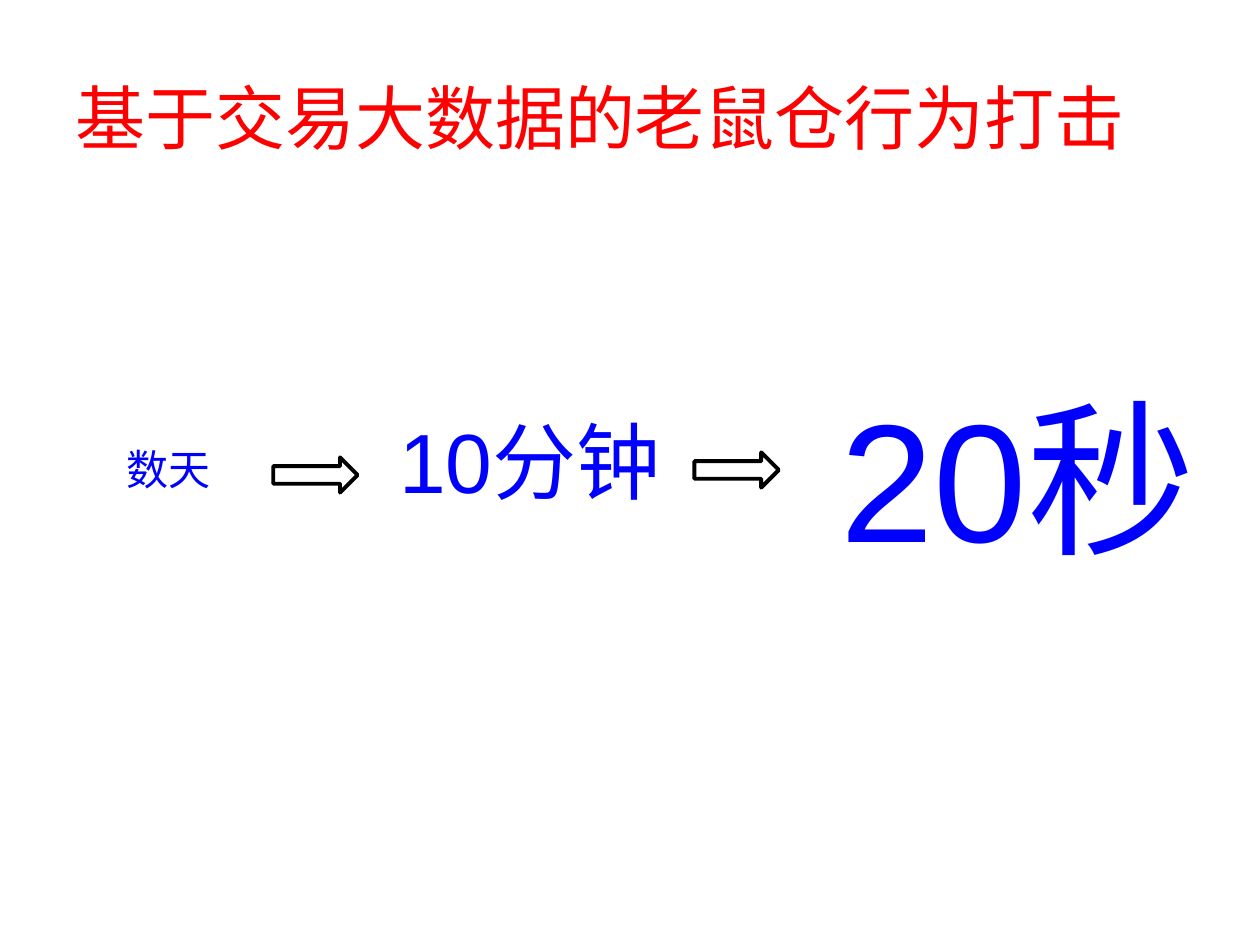
from pptx import Presentation
from pptx.dml.color import RGBColor
from pptx.enum.shapes import MSO_SHAPE
from pptx.enum.text import MSO_ANCHOR, MSO_AUTO_SIZE, PP_ALIGN
from pptx.util import Cm, Pt

ARROW = MSO_SHAPE.RIGHT_ARROW
MIDDLE = MSO_ANCHOR.MIDDLE
GROW = MSO_AUTO_SIZE.SHAPE_TO_FIT_TEXT
NO_FIT = MSO_AUTO_SIZE.NONE
LEFT = PP_ALIGN.LEFT

# Content: lengths in cm, type sizes in points
TITLE = "基于交易大数据的老鼠仓行为打击"
TITLE_BOX = (1.27, 0.76, 22.86, 3.18)
STAGES = [  # text, type size, box
    ("数天", 24, (2.31, 8.81, 2.24, 1.27)),
    ("10分钟", 48, (7.8, 8.13, 5.84, 2.31)),
    ("20秒", 96, (16.69, 7.42, 7.75, 4.37)),
]
ARROW_POSITIONS = [(5.51, 9.22), (14.0, 9.12)]
ARROW_SIZE = (1.7, 0.71)

THEME = {
    "title_font": "Noto Sans CJK JP",
    "title_size": 40,
    "title_color": RGBColor(0xFF, 0x00, 0x00),
    "stage_font": "Arial",
    "stage_color": RGBColor(0x00, 0x00, 0xFF),
    "line_color": RGBColor(0x00, 0x00, 0x00),
    "line_width": 2.25,
}


def cm(lengths):
    return [Cm(length) for length in lengths]


def write(tf, text, font, size, color):
    tf.word_wrap = True
    tf.text = text
    p = tf.paragraphs[0]
    p.alignment = LEFT
    p.font.name, p.font.size = font, Pt(size)
    p.font.color.rgb = color


prs = Presentation()
prs.slide_width, prs.slide_height = cm((25.4, 19.05))
s = prs.slides.add_slide(prs.slide_layouts[5])

# Title
title = s.shapes.title
title.left, title.top, title.width, title.height = cm(TITLE_BOX)
write(title.text_frame, TITLE, THEME["title_font"], THEME["title_size"],
      THEME["title_color"])
title.text_frame.vertical_anchor = MIDDLE
title.text_frame.auto_size = NO_FIT

# Stages, each in larger type than the one before
for text, size, box in STAGES:
    tf = s.shapes.add_textbox(*cm(box)).text_frame
    write(tf, text, THEME["stage_font"], size, THEME["stage_color"])
    tf.auto_size = GROW

# Arrows between the stages
for position in ARROW_POSITIONS:
    sp = s.shapes.add_shape(ARROW, *cm(position + ARROW_SIZE))
    sp.shadow.inherit = False
    sp.fill.background()
    sp.line.color.rgb = THEME["line_color"]
    sp.line.width = Pt(THEME["line_width"])

prs.save("out.pptx")
